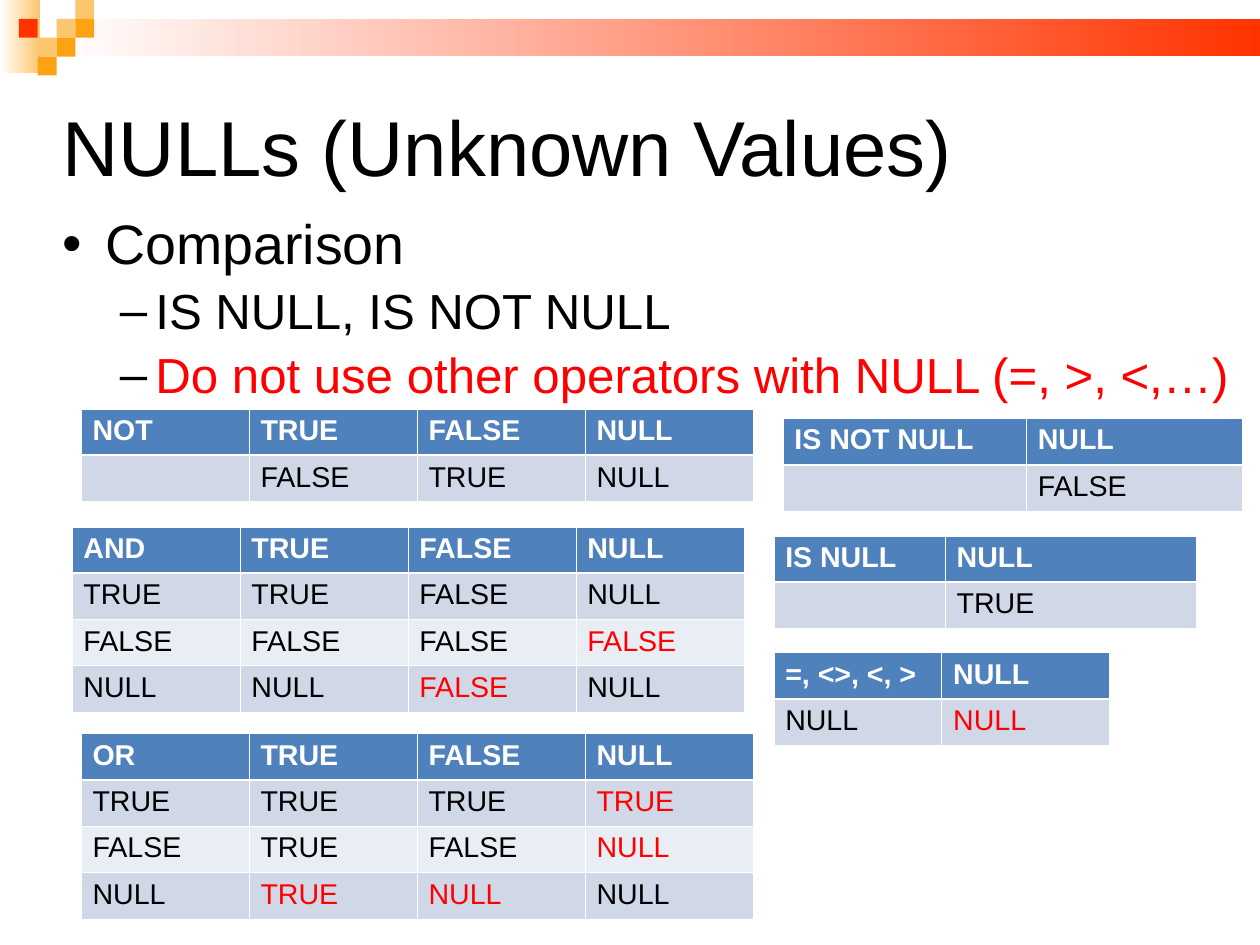
from lxml import etree
from pptx import Presentation
from pptx.dml.color import RGBColor
from pptx.enum.shapes import MSO_SHAPE
from pptx.enum.text import MSO_ANCHOR
from pptx.oxml.ns import qn
from pptx.util import Cm, Inches, Pt

BLACK = RGBColor(0x00, 0x00, 0x00)
WHITE = RGBColor(0xFF, 0xFF, 0xFF)
RED = RGBColor(0xFF, 0x00, 0x00)
VERMILION = RGBColor(0xFF, 0x33, 0x00)
AMBER = RGBColor(0xFB, 0xA3, 0x13)
SAND = RGBColor(0xFC, 0xC6, 0x6E)
HEADER_BLUE = RGBColor(0x4F, 0x81, 0xBD)
BAND_DARK = RGBColor(0xD0, 0xD8, 0xE8)
BAND_LIGHT = RGBColor(0xE9, 0xED, 0xF4)

LINE_SPACING = 0.87
THIN, THICK = Pt(0.45), Pt(1.47)
ROW_HEIGHT = Inches(0.81) // 2

# column and row on the banner's grid of small squares
SQUARES = [(3, 1, SAND), (4, 0, SAND), (4, 1, AMBER), (2, 2, SAND),
           (1, 1, VERMILION), (3, 2, AMBER), (2, 3, AMBER)]

# text, level, size, colour, left margin, hanging indent, space before, bullet
BULLETS = [
    ("Comparison", 0, 35, BLACK, 0.37, 0.37, 0, "•"),
    ("IS NULL, IS NOT NULL", 1, 31, BLACK, 0.81, 0.31, 7.7, "–"),
    ("Do not use other operators with NULL (=, >, <,…)", 1, 31, RED,
     0.81, 0.31, 7.7, "–"),
]

# left, top, column widths, rows, red cells as (row, column)
TRUTH_TABLES = [
    (0.71, 3.58, [1.47] * 4,
     [["NOT", "TRUE", "FALSE", "NULL"],
      ["", "FALSE", "TRUE", "NULL"]], []),
    (0.63, 4.61, [1.47] * 4,
     [["AND", "TRUE", "FALSE", "NULL"],
      ["TRUE", "TRUE", "FALSE", "NULL"],
      ["FALSE", "FALSE", "FALSE", "FALSE"],
      ["NULL", "NULL", "FALSE", "NULL"]], [(2, 3), (3, 2)]),
    (0.71, 6.42, [1.47] * 4,
     [["OR", "TRUE", "FALSE", "NULL"],
      ["TRUE", "TRUE", "TRUE", "TRUE"],
      ["FALSE", "TRUE", "FALSE", "NULL"],
      ["NULL", "TRUE", "NULL", "NULL"]], [(1, 3), (2, 3), (3, 1), (3, 2)]),
    (6.85, 3.66, [2.13, 1.89],
     [["IS NOT NULL", "NULL"], ["", "FALSE"]], []),
    (6.77, 4.69, [1.5, 2.2],
     [["IS NULL", "NULL"], ["", "TRUE"]], []),
    (6.77, 5.71, [1.47] * 2,
     [["=, <>, <, >", "NULL"], ["NULL", "NULL"]], [(1, 1)]),
]


def set_font(font, color, **values):
    for name, value in {"name": "Arial", **values}.items():
        setattr(font, name, value)
    font.color.rgb = color


def add_rect(s, left, top, width, height, *colors):
    """One colour fills the rectangle; two run as a gradient from left to right."""
    sp = s.shapes.add_shape(MSO_SHAPE.RECTANGLE, left, top, width, height)
    sp.shadow.inherit = False
    sp.line.fill.background()
    if len(colors) == 1:
        sp.fill.solid()
        sp.fill.fore_color.rgb = colors[0]
        return
    sp.fill.gradient()
    sp.fill.gradient_angle = 0
    for stop, color in zip(sp.fill.gradient_stops, colors):
        stop.color.rgb = color


def add_banner(s, left, top, width, unit):
    add_rect(s, left, top, Inches(0.35), Inches(0.64), WHITE, SAND)
    add_rect(s, left + 3 * unit, top + unit, width - 3 * unit, 2 * unit,
             WHITE, VERMILION)
    for col, row, color in SQUARES:
        add_rect(s, left + col * unit, top + row * unit, unit, unit, color)


def add_text_frame(s, left, top, width, height, inset_top=0):
    tf = s.shapes.add_textbox(left, top, width, height).text_frame
    tf.word_wrap = True
    tf.margin_left = tf.margin_right = tf.margin_bottom = 0
    tf.margin_top = inset_top
    return tf


def add_title(s, left, top, width, height, text):
    tf = add_text_frame(s, left, top, width, height)
    tf.vertical_anchor = MSO_ANCHOR.MIDDLE
    p = tf.paragraphs[0]
    p.line_spacing = LINE_SPACING
    r = p.add_run()
    r.text = text
    set_font(r.font, BLACK, size=Pt(49))


def add_bullets(s, left, top, width, height):
    tf = add_text_frame(s, left, top, width, height, Inches(0.06))
    for i, (text, level, size, color, margin, hang, before, mark) in enumerate(BULLETS):
        p = tf.add_paragraph() if i else tf.paragraphs[0]
        p.level = level
        p.line_spacing = LINE_SPACING
        p.space_before = Pt(before)
        pPr = p._p.get_or_add_pPr()
        pPr.set("marL", str(Inches(margin)))
        pPr.set("indent", str(-Inches(hang)))
        bullet_color = etree.SubElement(pPr, qn("a:buClr"))
        etree.SubElement(bullet_color, qn("a:srgbClr"), val=str(BLACK))
        etree.SubElement(pPr, qn("a:buFont"), typeface="Arial")
        etree.SubElement(pPr, qn("a:buChar"), char=mark)
        r = p.add_run()
        r.text = text
        set_font(r.font, color, size=Pt(size))


def set_borders(cell, top, bottom):
    tcPr = cell._tc.get_or_add_tcPr()
    for side, width in {"L": THIN, "R": THIN, "T": top, "B": bottom}.items():
        ln = etree.SubElement(tcPr, qn(f"a:ln{side}"), w=str(width))
        fill = etree.SubElement(ln, qn("a:solidFill"))
        etree.SubElement(fill, qn("a:srgbClr"), val=str(WHITE))


def add_truth_table(s, left, top, widths, rows, red_cells):
    frame = s.shapes.add_table(len(rows), len(widths), left, top,
                               sum(widths), ROW_HEIGHT * len(rows))
    table = frame.table
    for column, width in zip(table.columns, widths):
        column.width = width
    for i, row in enumerate(rows):
        header = i == 0
        band = HEADER_BLUE if header else BAND_DARK if i % 2 else BAND_LIGHT
        for j, text in enumerate(row):
            cell = table.cell(i, j)
            set_borders(cell, THICK if i == 1 else THIN, THICK if header else THIN)
            cell.fill.solid()
            cell.fill.fore_color.rgb = band
            color = WHITE if header else RED if (i, j) in red_cells else BLACK
            p = cell.text_frame.paragraphs[0]
            if text:
                r = p.add_run()
                r.text = text
                set_font(r.font, color, size=Pt(18), bold=header)


def main():
    prs = Presentation()
    prs.slide_width, prs.slide_height = Cm(28), Cm(21)
    s = prs.slides.add_slide(prs.slide_layouts[6])
    add_banner(s, 0, 0, prs.slide_width, Inches(0.66) // 4)
    add_title(s, Inches(0.55), Inches(0.51), Inches(9.92), Inches(1.65),
              "NULLs (Unknown Values)")
    add_bullets(s, Inches(0.55), Inches(1.85), Inches(10.24), Inches(4.68))
    for left, top, widths, rows, red_cells in TRUTH_TABLES:
        add_truth_table(s, Inches(left), Inches(top),
                        [Inches(w) for w in widths], rows, red_cells)
    prs.save("out.pptx")


if __name__ == "__main__":
    main()
